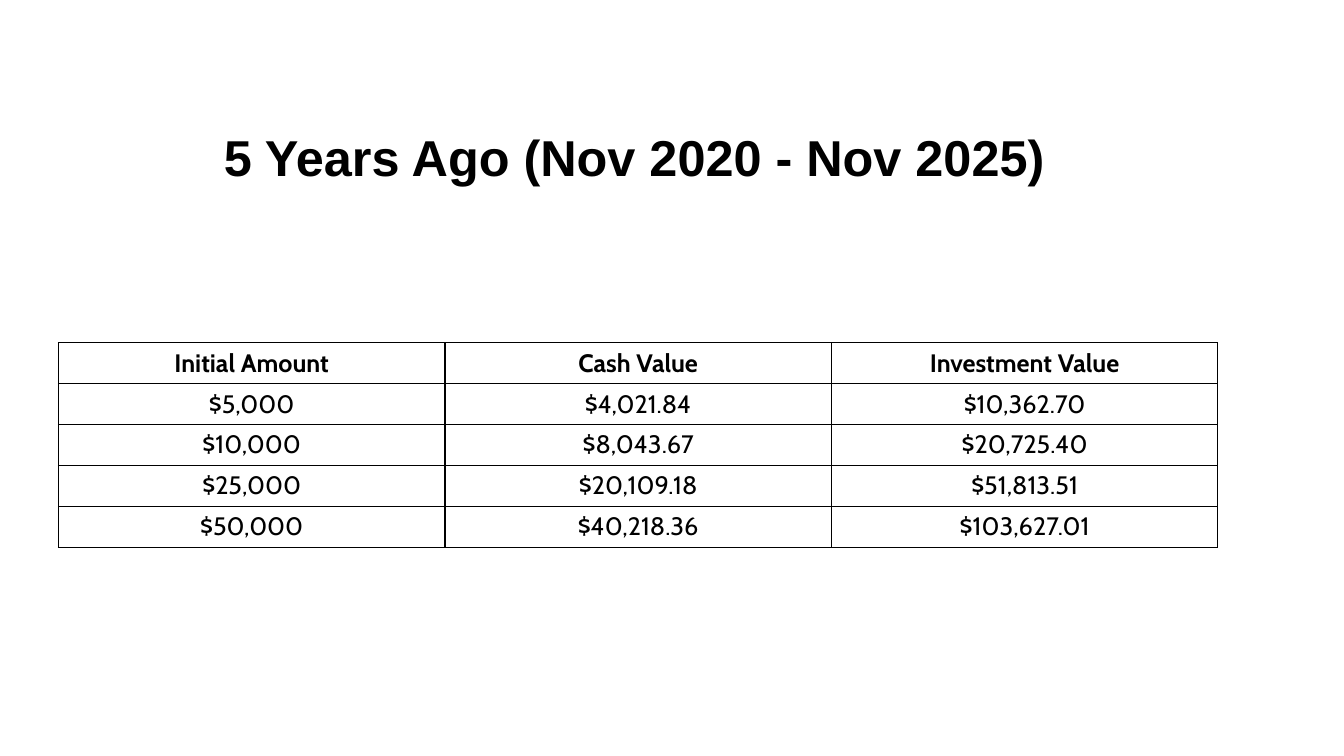
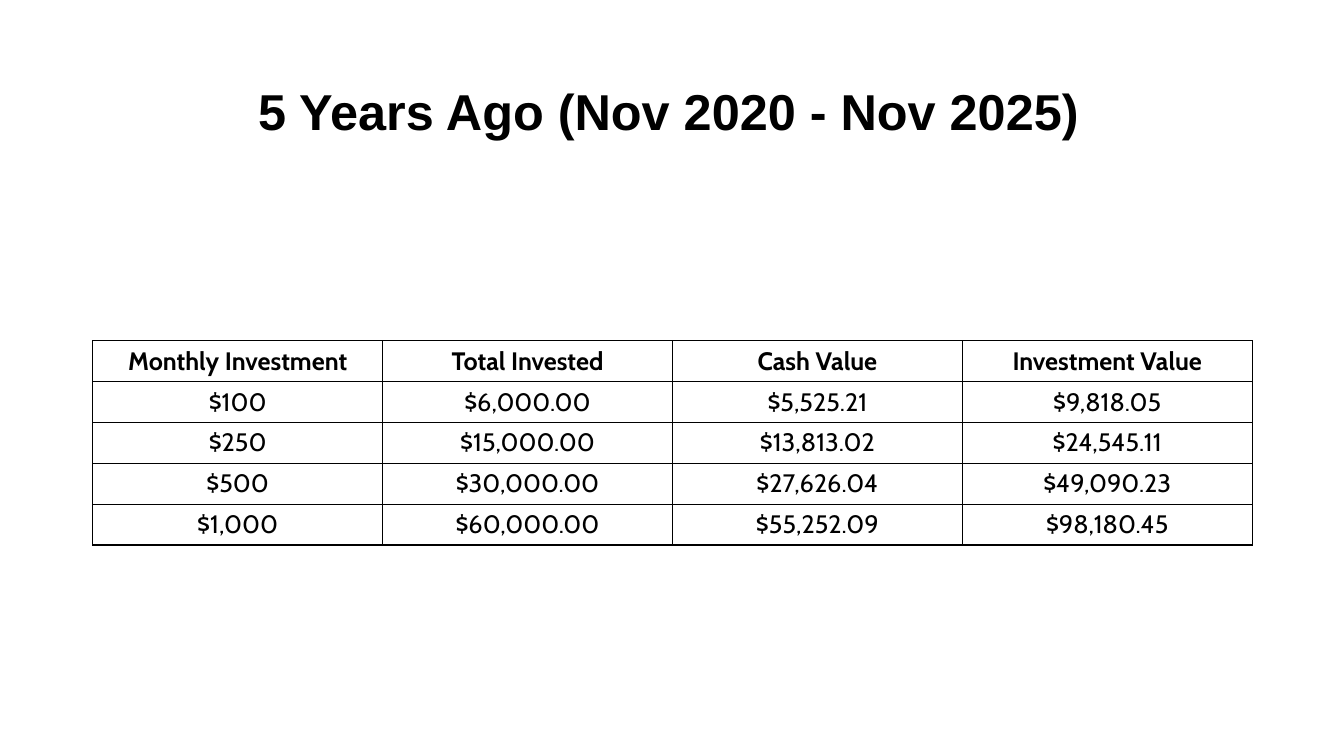
from lxml import etree
from pptx import Presentation
from pptx.dml.color import RGBColor
from pptx.enum.text import MSO_ANCHOR, MSO_AUTO_SIZE, PP_ALIGN
from pptx.oxml import parse_xml
from pptx.oxml.ns import nsdecls
from pptx.util import Emu, Pt

EMU_PER_PX = 9144  # 100 px to the inch
BLACK = RGBColor(0x00, 0x00, 0x00)
LEFT, CENTER = PP_ALIGN.LEFT, PP_ALIGN.CENTER
MIDDLE = MSO_ANCHOR.MIDDLE
FIXED_SIZE = MSO_AUTO_SIZE.NONE
TITLE_ONLY = 5

TITLE_TEXT = "5 Years Ago (Nov 2020 - Nov 2025)"
TITLE_SIZE = (842, 82)
TITLE_FONT = {"name": "Arial", "size": Pt(36), "bold": True}
CELL_FONT = {"name": "Cabin", "size": Pt(18)}
TABLE_WIDTH, ROW_HEIGHT = 1150, 40
BORDER_WIDTH = Pt(1)

PAGES = [
    {
        "title_at": (212, 114),
        "table_at": (58, 340),
        "rows": [
            ("Initial Amount", "Cash Value", "Investment Value"),
            ("$5,000", "$4,021.84", "$10,362.70"),
            ("$10,000", "$8,043.67", "$20,725.40"),
            ("$25,000", "$20,109.18", "$51,813.51"),
            ("$50,000", "$40,218.36", "$103,627.01"),
        ],
    },
    {
        "title_at": (246, 68),
        "table_at": (92, 338),
        "rows": [
            ("Monthly Investment", "Total Invested", "Cash Value", "Investment Value"),
            ("$100", "$6,000.00", "$5,525.21", "$9,818.05"),
            ("$250", "$15,000.00", "$13,813.02", "$24,545.11"),
            ("$500", "$30,000.00", "$27,626.04", "$49,090.23"),
            ("$1,000", "$60,000.00", "$55,252.09", "$98,180.45"),
        ],
    },
]


def px(*lengths):
    return [Emu(round(length * EMU_PER_PX)) for length in lengths]


def write(frame, text, alignment, font_format):
    """Fill a text frame with one black, vertically centred paragraph."""
    frame.text = text
    frame.vertical_anchor = MIDDLE
    para = frame.paragraphs[0]
    para.alignment = alignment
    font = para.runs[0].font
    font.color.rgb = BLACK
    for name, value in font_format.items():
        setattr(font, name, value)


deck = Presentation()
deck.slide_width, deck.slide_height = px(1333, 750)

for content in PAGES:
    page = deck.slides.add_slide(deck.slide_layouts[TITLE_ONLY])

    title = page.shapes.title
    title.left, title.top, title.width, title.height = px(*content["title_at"], *TITLE_SIZE)
    title.text_frame.word_wrap = True
    title.text_frame.auto_size = FIXED_SIZE
    write(title.text_frame, TITLE_TEXT, LEFT, TITLE_FONT)

    rows = content["rows"]
    table_size = (TABLE_WIDTH, ROW_HEIGHT * len(rows))
    table = page.shapes.add_table(
        len(rows), len(rows[0]), *px(*content["table_at"], *table_size)
    ).table
    table.first_row = table.horz_banding = False

    for row_index, row in enumerate(rows):
        for column_index, text in enumerate(row):
            cell = table.cell(row_index, column_index)
            cell.fill.background()
            cell.vertical_anchor = MIDDLE
            write(cell.text_frame, text, CENTER, {**CELL_FONT, "bold": row_index == 0})
            properties = cell._tc.get_or_add_tcPr()
            for position, side in enumerate(("lnL", "lnR", "lnT", "lnB")):
                border = parse_xml(f'<a:{side} {nsdecls("a")} w="{BORDER_WIDTH}"/>')
                fill = etree.SubElement(border, border.tag.replace(side, "solidFill"))
                etree.SubElement(fill, border.tag.replace(side, "srgbClr"), val=str(BLACK))
                properties.insert(position, border)

deck.save("out.pptx")
